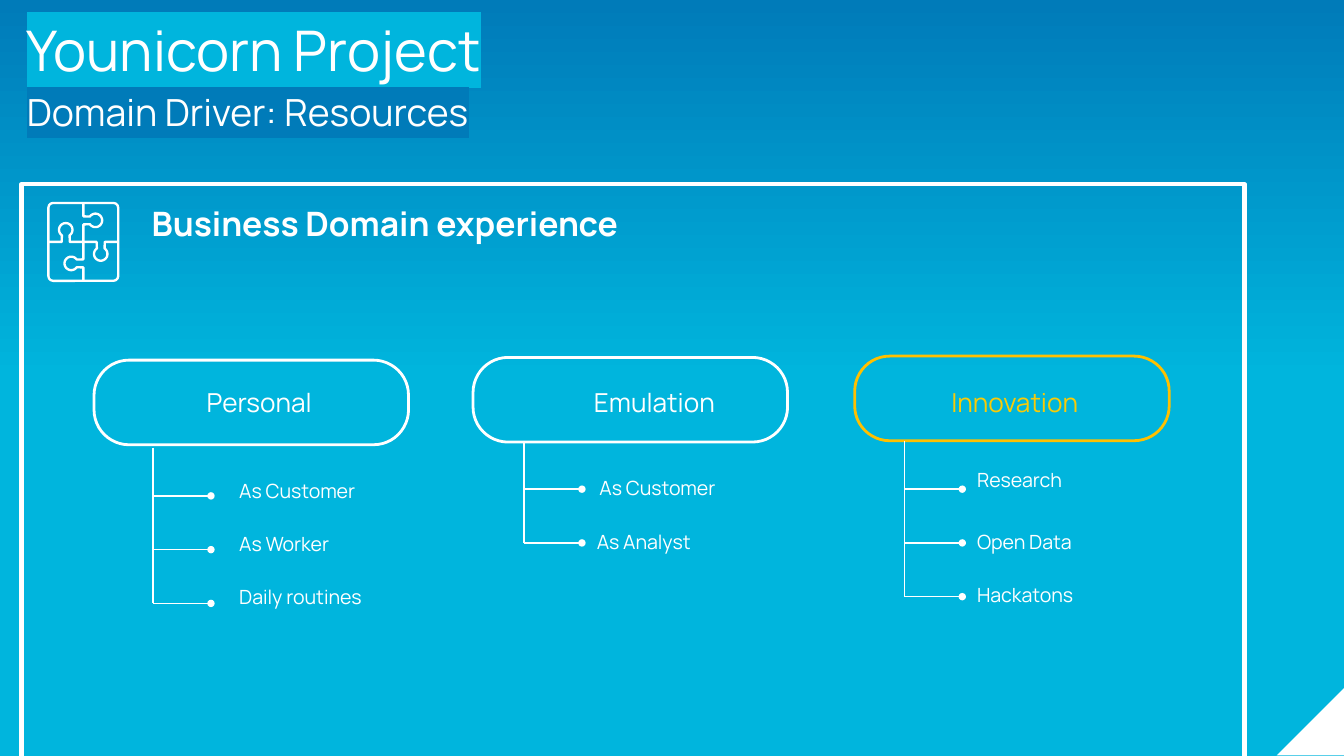
import math

from lxml import etree
from pptx import Presentation
from pptx.dml.color import RGBColor
from pptx.enum.shapes import MSO_CONNECTOR, MSO_SHAPE
from pptx.enum.text import MSO_ANCHOR, PP_ALIGN
from pptx.oxml.ns import qn
from pptx.util import Inches, Pt

LEFT, CENTER = PP_ALIGN.LEFT, PP_ALIGN.CENTER
TOP, BOTTOM = MSO_ANCHOR.TOP, MSO_ANCHOR.BOTTOM

THEME = {
    "font": "Manrope",
    "white": "FFFFFF", "cyan": "00B5DD", "blue": "007BB9",
    "gold": "F9CB07", "amber": "FFC000",
    "title": 30, "subtitle": 20, "heading": 18, "pill": 14, "item": 10.5,
    "frame_line": 2.25, "pill_line": 1.5, "icon_line": 1.25, "branch_line": 0.75,
}

SLIDE_WIDTH = 10
SLIDE_HEIGHT = SLIDE_WIDTH * 9 / 16
TITLE = [("Younicorn Project", "title", "cyan"),
         ("Domain Driver: Resources", "subtitle", "blue")]
HEADING = "Business Domain experience"
# Items are (text, left, top)
COLUMNS = [
    {"name": "Personal", "pill": (0.7, 2.68), "label": (1.38, 1.1),
     "color": "white", "line": "white", "trunk": (1.14, 3.69),
     "items": [("As Customer", 1.71, 3.52), ("As Worker", 1.71, 3.91),
               ("Daily routines", 1.71, 4.31)]},
    {"name": "Emulation", "pill": (3.52, 2.66), "label": (4.21, 1.32),
     "color": "white", "line": "white", "trunk": (3.9, 3.64),
     "items": [("As Customer", 4.39, 3.5), ("As Analyst", 4.37, 3.9)]},
    {"name": "Innovation", "pill": (6.36, 2.65), "label": (6.89, 1.32),
     "color": "gold", "line": "amber", "trunk": (6.73, 3.64),
     "items": [("Research", 7.2, 3.44), ("Open Data", 7.2, 3.9),
               ("Hackatons", 7.2, 4.29)]},
]
PILL_SIZE = (2.34, 0.63)
LABEL_TOP, LABEL_WIDTH, LABEL_HEIGHT = 2.89, 1.32, 0.26
ROW_STEP, TRUNK_RISE, TRUNK_LENGTH, BRANCH = 0.4, 0.36, 0.51, 0.43
TIGHT = (0.07, 0.04, 0.07, 0.04)
ICON = (0.36, 1.51, 0.52, 0.58)


def rgb(key):
    return RGBColor.from_string(THEME[key])


def add_shape(slide, kind, area, fill=None, line=None, width=None, radius=None):
    shape = slide.shapes.add_shape(kind, *map(Inches, area))
    style_shape(shape, fill, line, width)
    if radius is not None:
        shape.adjustments[0] = radius
    return shape


def style_shape(shape, fill=None, line=None, width=None):
    shape.shadow.inherit = False
    for part, color in ((shape.fill, fill), (shape.line.fill, line)):
        if color:
            part.solid()
            part.fore_color.rgb = rgb(color)
        else:
            part.background()
    if width:
        shape.line.width = Pt(THEME[width])


def add_text(slide, area, lines, insets=TIGHT, anchor=BOTTOM, align=LEFT,
             color="white", bold=False, spacing=None, wrap=True):
    """Each line is (text, size key, highlight key or None)."""
    frame = slide.shapes.add_textbox(*map(Inches, area)).text_frame
    sides = ("margin_left", "margin_top", "margin_right", "margin_bottom")
    settings = dict(zip(sides, map(Inches, insets)),
                    vertical_anchor=anchor, word_wrap=wrap)
    for name, value in settings.items():
        setattr(frame, name, value)
    for index, (text, size, highlight) in enumerate(lines):
        para = frame.add_paragraph() if index else frame.paragraphs[0]
        para.alignment = align
        if spacing:
            para.line_spacing = spacing
        span = para.add_run()
        span.text = text
        font_format = {"name": THEME["font"], "size": Pt(THEME[size]), "bold": bold}
        for name, value in font_format.items():
            setattr(span.font, name, value)
        span.font.color.rgb = rgb(color)
        if highlight:
            mark = etree.Element(qn("a:highlight"))
            etree.SubElement(mark, qn("a:srgbClr"), val=THEME[highlight])
            span.font._element.find(qn("a:solidFill")).addnext(mark)


def add_line(slide, start, end, dot=False):
    line = slide.shapes.add_connector(
        MSO_CONNECTOR.STRAIGHT, *map(Inches, (*start, *end)))
    line.line.color.rgb = rgb("white")
    line.line.width = Pt(THEME["branch_line"])
    if dot:
        etree.SubElement(line.line._get_or_add_ln(), qn("a:tailEnd"),
                         type="oval", w="sm", len="sm")
    etree.SubElement(line._element.spPr, qn("a:effectLst"))


def add_puzzle_icon(slide):
    """Rounded square cut by one knobbed seam, turned four times."""
    add_shape(slide, MSO_SHAPE.ROUNDED_RECTANGLE, ICON, line="white",
              width="icon_line", radius=0.07)
    left, top, width, height = ICON
    middle_x, middle_y = left + width / 2, top + height / 2
    knob, reach, radius, neck = 0.13, 0.09, 0.05, 0.03
    arc = [(knob + radius * math.sin(math.radians(turn)),
            reach + radius * math.cos(math.radians(turn)))
           for turn in range(-145, 146, 10)]
    for step_x, step_y in ((0, 1), (-1, 0), (0, -1), (1, 0)):
        length = height / 2 if step_y else width / 2
        seam = [(0, 0), (knob - neck, 0), *arc, (knob + neck, 0), (length, 0)]
        points = [(Inches(middle_x + step_x * (along - length) + step_y * out),
                   Inches(middle_y + step_y * (along - length) - step_x * out))
                  for along, out in seam]
        builder = slide.shapes.build_freeform(*points[0])
        builder.add_line_segments(points[1:], close=False)
        style_shape(builder.convert_to_shape(), line="white", width="icon_line")


def add_column(slide, column):
    left, width = column["label"]
    add_text(slide, (left, LABEL_TOP, width, LABEL_HEIGHT),
             [(column["name"], "pill", None)], align=CENTER, color=column["color"])
    add_shape(slide, MSO_SHAPE.ROUNDED_RECTANGLE, (*column["pill"], *PILL_SIZE),
              line=column["line"], width="pill_line", radius=0.414)
    trunk, first = column["trunk"]
    for row, (text, text_left, text_top) in enumerate(column["items"]):
        level = first + row * ROW_STEP
        start = max(first - TRUNK_RISE, level - TRUNK_LENGTH)
        add_line(slide, (trunk, start), (trunk, level))
        add_line(slide, (trunk, level), (trunk + BRANCH, level), dot=True)
        add_text(slide, (text_left, text_top, LABEL_WIDTH, LABEL_HEIGHT),
                 [(text, "item", None)])


def main():
    deck = Presentation()
    deck.slide_width, deck.slide_height = Inches(SLIDE_WIDTH), Inches(SLIDE_HEIGHT)
    slide = deck.slides.add_slide(deck.slide_layouts[6])

    backdrop = slide.background.fill
    backdrop.gradient()
    backdrop.gradient_angle = 90
    stops = ((0.5, "cyan"), (1, "blue"))
    for stop, (position, color) in zip(backdrop.gradient_stops, stops):
        stop.position = position
        stop.color.rgb = rgb(color)

    corner = add_shape(slide, MSO_SHAPE.RIGHT_TRIANGLE, (9.5, 5.11, 0.51, 0.51),
                       fill="white")
    corner._element.spPr.find(qn("a:xfrm")).set("flipH", "1")
    add_text(slide, (0.2, 0.04, 6.46, 1.11), TITLE, insets=(0, 0, 0, 0),
             anchor=TOP, spacing=1.15)
    add_shape(slide, MSO_SHAPE.RECTANGLE, (0.16, 1.37, 9.1, 5.06),
              line="white", width="frame_line")
    add_puzzle_icon(slide)
    for column in COLUMNS:
        add_column(slide, column)
    add_text(slide, (1.03, 1.46, 3.68, 0.4), [(HEADING, "heading", None)],
             insets=(0.1, 0.05, 0.1, 0.05), anchor=TOP, bold=True, wrap=False)
    deck.save("out.pptx")


if __name__ == "__main__":
    main()
